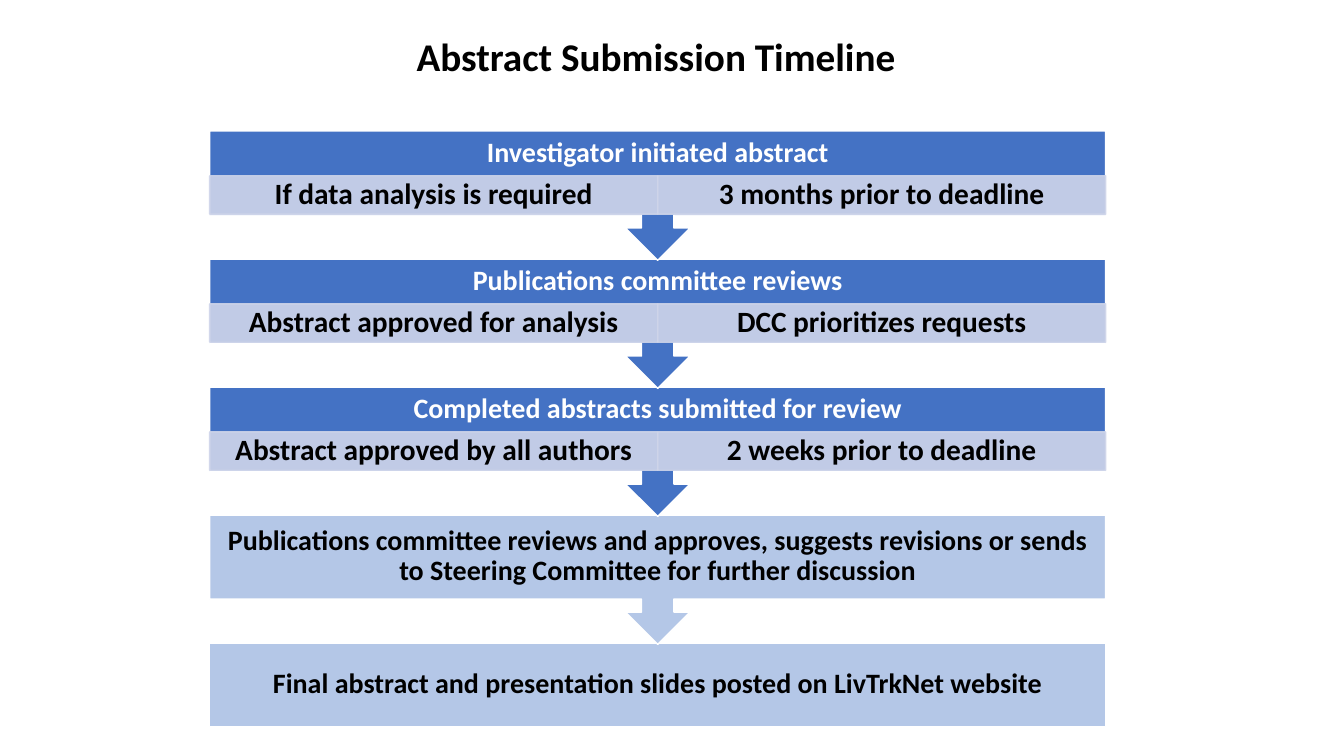
"""Build the abstract submission timeline slide."""
from dataclasses import dataclass

from lxml.etree import SubElement
from pptx import Presentation
from pptx.dml.color import RGBColor
from pptx.enum.shapes import MSO_SHAPE
from pptx.enum.text import MSO_ANCHOR, MSO_AUTO_SIZE, PP_ALIGN
from pptx.oxml.ns import qn
from pptx.shapes.autoshape import Shape
from pptx.slide import Slide
from pptx.util import Inches, Pt


@dataclass(frozen=True)
class Theme:
    font: str = "Calibri"
    dark: str = "000000"
    light: str = "FFFFFF"
    review: str = "4472C4"
    outcome: str = "B4C7E7"
    detail: str = "CFD5EA"
    detail_opacity: int = 90
    title_size: int = 28
    stage_size: int = 20
    detail_size: int = 21
    line_width: int = 1


@dataclass(frozen=True)
class Grid:
    left: float = 2.08
    top: float = 1.3
    column: float = 13.333 / 3
    row: float = 1.27

    def place(self, cell: "Cell") -> tuple[int, int, int, int]:
        return (
            Inches(self.left + cell.column * self.column),
            Inches(self.top + cell.row * self.row),
            Inches(cell.columns * self.column),
            Inches(cell.rows * self.row),
        )


@dataclass(frozen=True)
class Cell:
    column: float
    row: float
    columns: float
    rows: float


@dataclass(frozen=True)
class Stage:
    heading: str
    details: tuple[str, ...] = ()


THEME = Theme()
GRID = Grid()
TITLE = "Abstract Submission Timeline"
TITLE_CELL = Cell(0.44, -0.81, 1.13, 0.45)
CALLOUT_ROWS = 1.01
BOX_ROWS = 0.65
HEADING_ROWS = 0.35
DETAIL_ROWS = 0.3
SIDE_INSET = 0.16
DETAIL_INSET = 0.03
STAGES = (
    Stage("Investigator initiated abstract",
          ("If data analysis is required", "3 months prior to deadline")),
    Stage("Publications committee reviews",
          ("Abstract approved for analysis", "DCC prioritizes requests")),
    Stage("Completed abstracts submitted for review",
          ("Abstract approved by all authors", "2 weeks prior to deadline")),
    Stage("Publications committee reviews and approves, suggests revisions "
          "or sends to Steering Committee for further discussion"),
    Stage("Final abstract and presentation slides posted on LivTrkNet website"),
)


def write(box: Shape, wording: str, size: int, color: str, inset: float) -> None:
    frame = box.text_frame
    frame.word_wrap = True
    frame.vertical_anchor = MSO_ANCHOR.MIDDLE
    frame.margin_left = frame.margin_right = Inches(SIDE_INSET)
    frame.margin_top = frame.margin_bottom = Inches(inset)
    paragraph = frame.paragraphs[0]
    paragraph.text = wording
    paragraph.alignment = PP_ALIGN.CENTER
    paragraph.line_spacing = 0.9
    style(paragraph.font, size, color)


def style(font, size: int, color: str) -> None:
    font.name = THEME.font
    font.size = Pt(size)
    font.bold = True
    font.color.rgb = RGBColor.from_string(color)


def draw_panel(slide: Slide, preset: MSO_SHAPE, cell: Cell, fill: str, line: str) -> Shape:
    panel = slide.shapes.add_shape(preset, *GRID.place(cell))
    panel.shadow.inherit = False
    panel.fill.solid()
    panel.fill.fore_color.rgb = RGBColor.from_string(fill)
    panel.line.color.rgb = RGBColor.from_string(line)
    panel.line.width = Pt(THEME.line_width)
    return panel


def draw_detail(slide: Slide, wording: str, column: int, row: int) -> None:
    cell = Cell(column, row + HEADING_ROWS, 1, DETAIL_ROWS)
    detail = draw_panel(slide, MSO_SHAPE.RECTANGLE, cell, THEME.detail, THEME.detail)
    for color in detail.element.spPr.iter(qn("a:srgbClr")):
        SubElement(color, qn("a:alpha"), val=str(THEME.detail_opacity * 1000))
    write(detail, wording, THEME.detail_size, THEME.dark, DETAIL_INSET)


def draw_stage(slide: Slide, stage: Stage, row: int, final: bool) -> None:
    fill = THEME.review if stage.details else THEME.outcome
    ink = THEME.light if stage.details else THEME.dark
    heading_cell = Cell(0, row, 2, HEADING_ROWS if stage.details else BOX_ROWS)
    if final:
        heading = draw_panel(slide, MSO_SHAPE.RECTANGLE, heading_cell, fill, THEME.light)
    else:
        callout_cell = Cell(0, row, 2, CALLOUT_ROWS)
        callout = draw_panel(slide, MSO_SHAPE.UP_ARROW_CALLOUT, callout_cell, fill, THEME.light)
        callout.rotation = 180
        heading = slide.shapes.add_textbox(*GRID.place(heading_cell))
    write(heading, stage.heading, THEME.stage_size, ink, SIDE_INSET)
    for column, wording in enumerate(stage.details):
        draw_detail(slide, wording, column, row)


def draw_title(slide: Slide) -> None:
    title = slide.shapes.add_textbox(*GRID.place(TITLE_CELL))
    title.text_frame.word_wrap = False
    title.text_frame.auto_size = MSO_AUTO_SIZE.SHAPE_TO_FIT_TEXT
    paragraph = title.text_frame.paragraphs[0]
    paragraph.text = TITLE
    style(paragraph.font, THEME.title_size, THEME.dark)


def main() -> None:
    deck = Presentation()
    deck.slide_width, deck.slide_height = Inches(13.333), Inches(7.5)
    slide = deck.slides.add_slide(deck.slide_layouts[6])
    last = len(STAGES) - 1
    for row, stage in reversed(tuple(enumerate(STAGES))):
        draw_stage(slide, stage, row, final=row == last)
    draw_title(slide)
    deck.save("out.pptx")


if __name__ == "__main__":
    main()
